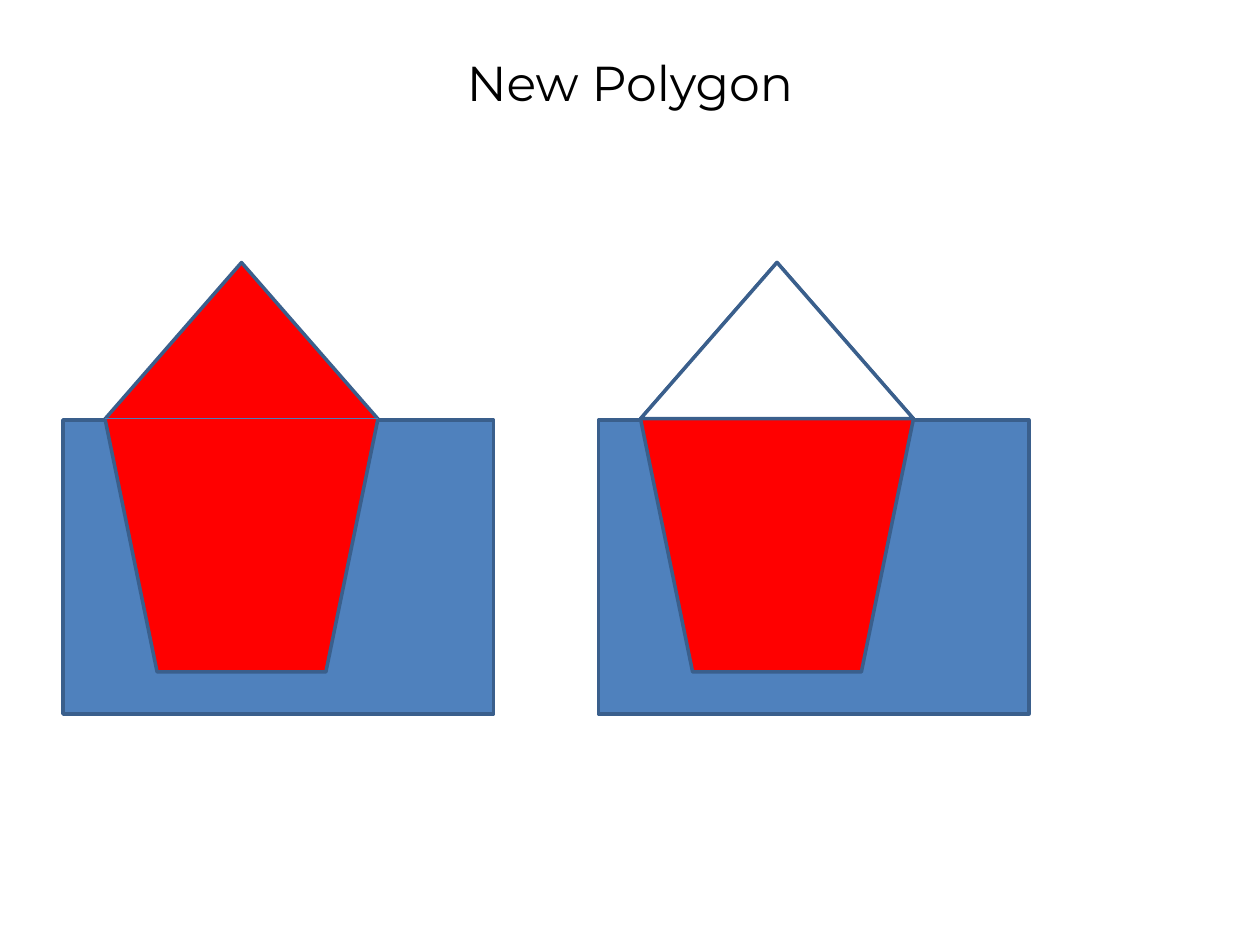
from pptx import Presentation
from pptx.dml.color import RGBColor
from pptx.enum.shapes import MSO_CONNECTOR, MSO_SHAPE
from pptx.enum.text import MSO_ANCHOR, PP_ALIGN
from pptx.oxml.ns import qn
from pptx.util import Pt
from lxml.etree import SubElement

BLACK = RGBColor(0x00, 0x00, 0x00)
WHITE = RGBColor(0xFF, 0xFF, 0xFF)
RED = RGBColor(0xFF, 0x00, 0x00)
BLUE = RGBColor(0x4F, 0x81, 0xBD)
OUTLINE = RGBColor(0x3A, 0x5F, 0x8C)
DIVIDER = RGBColor(0x4B, 0x7E, 0xBC)

PENTAGON_WIDTH = 156
ROOF_HEIGHT = 89.3


def add_title(page, left, top, width, height):
    box = page.shapes.add_textbox(Pt(left), Pt(top), Pt(width), Pt(height))
    frame = box.text_frame
    frame.word_wrap = True
    frame.vertical_anchor = MSO_ANCHOR.MIDDLE
    para = frame.paragraphs[0]
    para.text = "New Polygon"
    para.alignment = PP_ALIGN.CENTER
    para.font.name = "Montserrat"
    para.font.size = Pt(28)
    para.font.color.rgb = BLACK


def add_outlined(shapes, kind, left, top, width, height, fill):
    shape = shapes.add_shape(kind, Pt(left), Pt(top), Pt(width), Pt(height))
    shape.shadow.inherit = False
    shape.fill.solid()
    shape.fill.fore_color.rgb = fill
    shape.line.color.rgb = OUTLINE
    shape.line.width = Pt(2)


def add_clipped_pentagon(page, left, top):
    shapes = page.shapes.add_group_shape().shapes
    pentagon_left = left + 24
    add_outlined(shapes, MSO_SHAPE.RECTANGLE, left, top + 90, 246, 168, BLUE)
    add_outlined(shapes, MSO_SHAPE.REGULAR_PENTAGON, pentagon_left, top,
                 PENTAGON_WIDTH, 234, RED)
    divider_top = Pt(top + ROOF_HEIGHT)
    divider = shapes.add_connector(
        MSO_CONNECTOR.STRAIGHT, Pt(pentagon_left), divider_top,
        Pt(pentagon_left + PENTAGON_WIDTH), divider_top)
    divider.line.color.rgb = DIVIDER
    divider.line.width = Pt(0.75)
    SubElement(divider._element.spPr, qn("a:effectLst"))


def add_cut_roof(page, left, top):
    add_outlined(page.shapes, MSO_SHAPE.ISOSCELES_TRIANGLE, left + 24, top,
                 PENTAGON_WIDTH, ROOF_HEIGHT, WHITE)


def main():
    deck = Presentation()
    deck.slide_width = Pt(720)
    deck.slide_height = Pt(540)
    page = deck.slides.add_slide(deck.slide_layouts[6])
    add_title(page, 36, 21.6, 648, 50.4)
    for left in (342, 36):
        add_clipped_pentagon(page, left, 150)
    add_cut_roof(page, 342, 150)
    deck.save("out.pptx")


if __name__ == "__main__":
    main()
